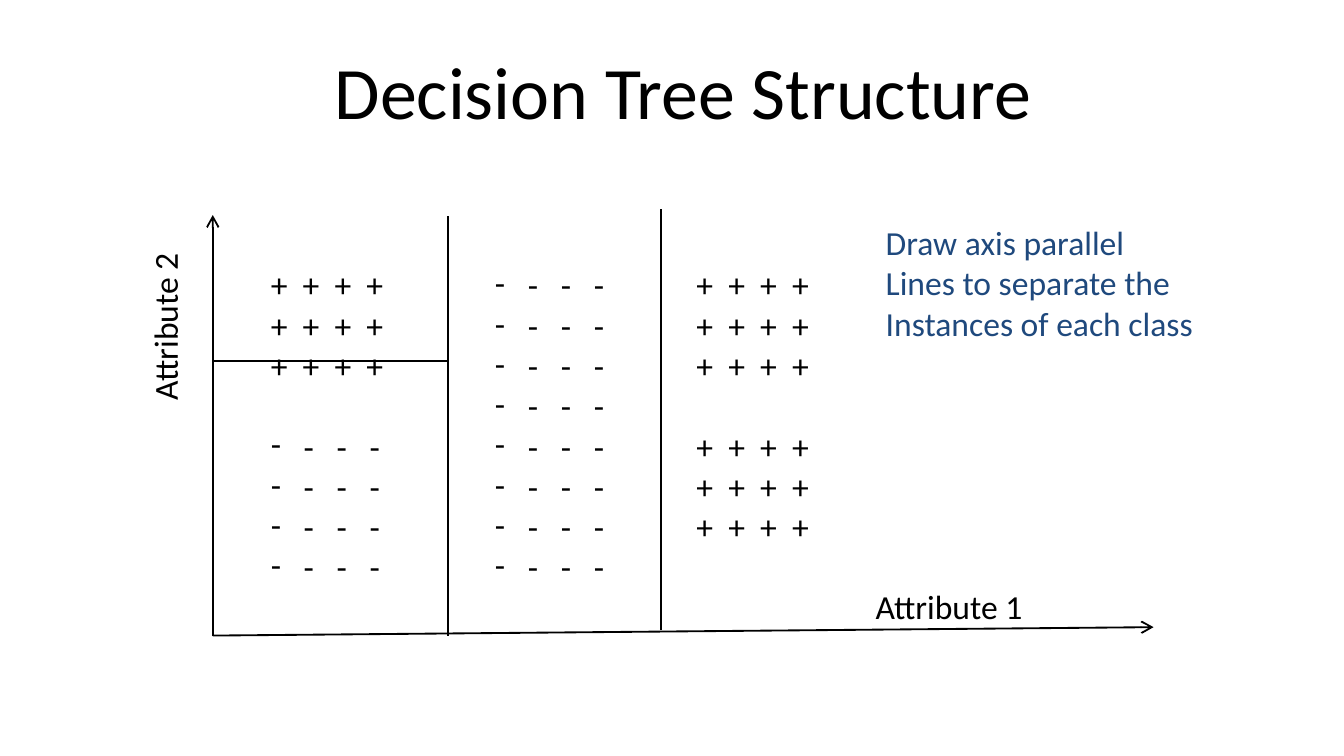
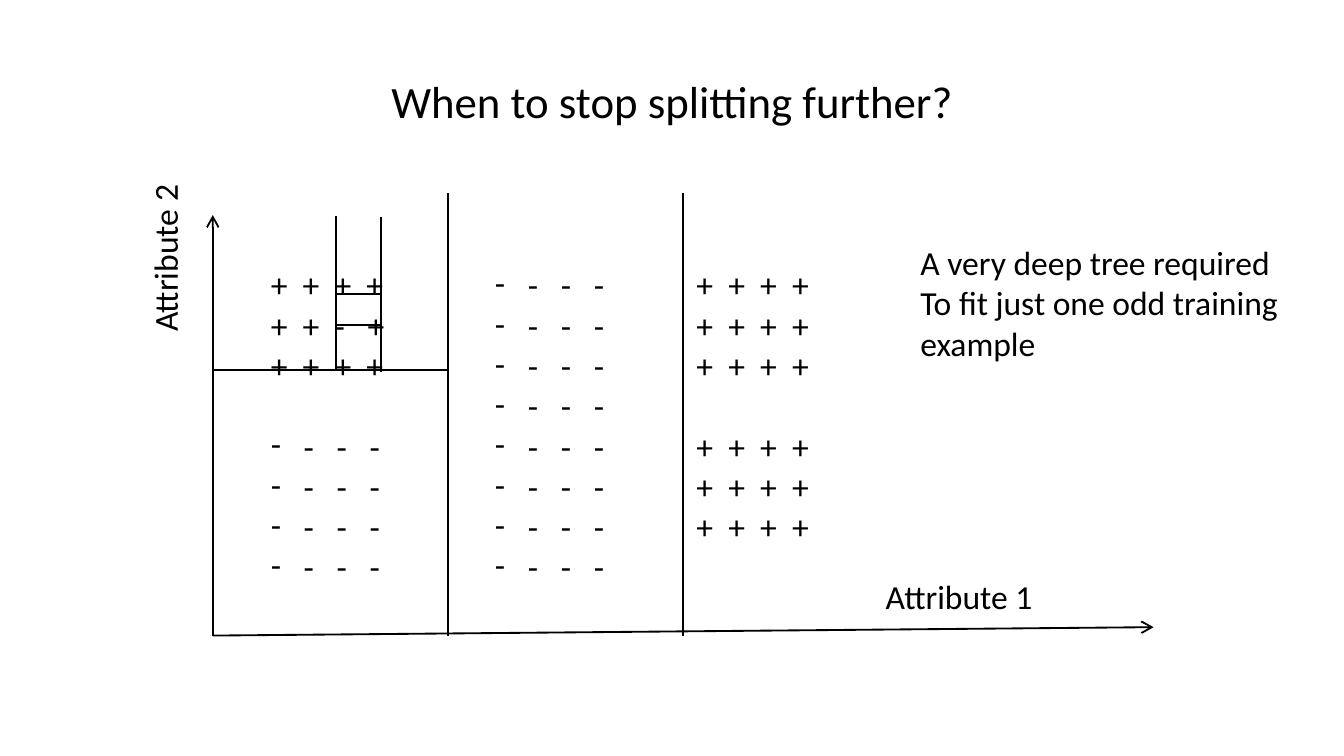
from dataclasses import dataclass
from lxml import etree
from pptx import Presentation
from pptx import util as u
from pptx.dml.color import RGBColor
from pptx.enum import shapes, text
from pptx.oxml import ns


@dataclass(frozen=True)
class Theme:
    font: str = "Calibri"
    ink: str = "000000"
    accent: str = "1F497D"
    paper: str = "FFFFFF"
    body: float = 18
    subtitle: float = 24
    title: float = 39.6
    line: float = 1


T = Theme()
prs = Presentation()
prs.slide_width = u.Inches(10)
prs.slide_height = prs.slide_width * 9 // 16
CELL = prs.slide_width / 120


def add_text(parent, box, blocks, size=T.body, color=T.ink, align=text.PP_ALIGN.LEFT,
             anchor=text.MSO_ANCHOR.TOP, rotation=0, wrap=False):
    sp = parent.add_textbox(*(round(v * CELL) for v in box))
    sp.rotation = rotation
    tf = sp.text_frame
    tf.word_wrap, tf.vertical_anchor = wrap, anchor
    tf.auto_size = text.MSO_AUTO_SIZE.NONE if wrap else text.MSO_AUTO_SIZE.SHAPE_TO_FIT_TEXT
    rows = [(line, b > 0 and i == 0) for b, block in enumerate(blocks)
            for i, line in enumerate(block)]
    for n, (line, gap) in enumerate(rows):
        p = tf.paragraphs[0] if n == 0 else tf.add_paragraph()
        p.alignment = align
        if gap:
            p.space_before = u.Pt(size * 1.2)
        if line.startswith("-"):
            pPr = p._p.get_or_add_pPr()
            etree.SubElement(pPr, ns.qn("a:buFont")).set("typeface", T.font)
            etree.SubElement(pPr, ns.qn("a:buChar")).set("char", "-")
            line = line[1:]
        r = p.add_run()
        r.text = line
        r.font.name, r.font.size = T.font, u.Pt(size)
        r.font.color.rgb = RGBColor.from_string(color)


def add_line(parent, x1, y1, x2, y2, arrow=False):
    ends = (round(v * CELL) for v in (x1, y1, x2, y2))
    c = parent.add_connector(shapes.MSO_CONNECTOR.STRAIGHT, *ends)
    c.line.width = u.Pt(T.line)
    c.line.color.rgb = RGBColor.from_string(T.ink)
    if arrow:
        ln = c._element.spPr.find(ns.qn("a:ln"))
        etree.SubElement(ln, ns.qn("a:tailEnd")).set("type", "arrow")
    etree.SubElement(c._element.spPr, ns.qn("a:effectLst"))


PLUS = "+  +  +  +"
MINUS = "-   -   -   -"
LEFT, SPLIT, RIGHT = 19, 40, 103
TOP, BOTTOM, FIRST_ROW = 19.2, 56.75, 23

slides = [
    dict(
        title="Decision Tree Structure", title_box=(10, 4.75, 102, 6.5), title_size=T.title,
        odd_row=PLUS, x_label=(77, 51.75), y_label=26.65,
        note=["Draw axis parallel", "Lines to separate the", "Instances of each class"],
        note_box=(77.9, 19.22, 30.1, 12.1), note_color=T.accent,
        splits=[(SPLIT, 19.3, SPLIT, BOTTOM), (59, 18.7, 59, 56.3),
                (LEFT, 32.25, SPLIT, 32.25)],
    ),
    dict(
        title="When to stop splitting further?", title_box=(9, 5.75, 102, 6.5),
        title_size=T.subtitle,
        odd_row="+  +  -   +", x_label=(77.9, 50.8), y_label=20.55,
        note=["A very deep tree required", "To fit just one odd training", "example"],
        note_box=(81, 21, 35.5, 15.7), note_color=T.ink,
        splits=[(61, 17.25, 61, BOTTOM), (SPLIT, 17.25, SPLIT, BOTTOM),
                (SPLIT, 33.05, LEFT, 33.05), (30, 19.3, 30, 33), (34, 19.4, 34, 33.2),
                (30, 26.25, 34, 26.25), (30, 29.05, 34, 29.05)],
    ),
]

for d in slides:
    s = prs.slides.add_slide(prs.slide_layouts[6])
    s.background.fill.solid()
    s.background.fill.fore_color.rgb = RGBColor.from_string(T.paper)
    add_text(s.shapes, d["title_box"], [[d["title"]]], size=d["title_size"],
             align=text.PP_ALIGN.CENTER, anchor=text.MSO_ANCHOR.MIDDLE, wrap=True)

    plot = s.shapes.add_group_shape().shapes
    add_line(plot, LEFT, BOTTOM, RIGHT, 56, arrow=True)
    add_line(plot, LEFT, BOTTOM, LEFT, TOP, arrow=True)
    add_text(plot, (23, FIRST_ROW, 12.6, 30.2), [[PLUS, d["odd_row"], PLUS], [MINUS] * 4])
    add_text(plot, (61, FIRST_ROW, 12.6, 26.6), [[PLUS] * 3] * 2)
    add_text(plot, (43, FIRST_ROW, 12.4, 30.2), [[MINUS] * 8])
    add_text(plot, (*d["x_label"], 15.7, 4.8), [["Attribute 1"]])
    add_text(plot, (6.85, d["y_label"], 15.7, 4.8), [["Attribute 2"]], rotation=270)

    for split in d["splits"]:
        add_line(s.shapes, *split)
    add_text(s.shapes, d["note_box"], [d["note"]], color=d["note_color"])

prs.save("out.pptx")
